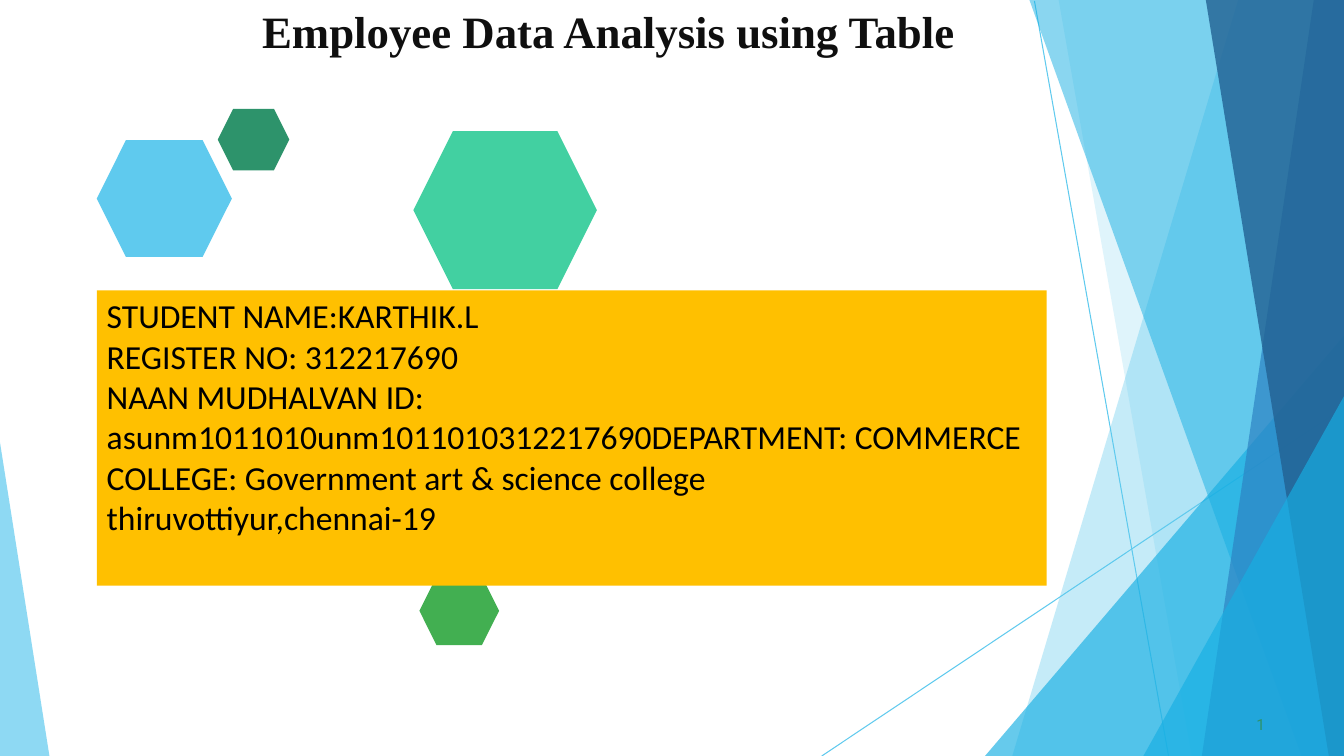
from lxml import etree
from pptx import Presentation
from pptx.dml.color import RGBColor
from pptx.enum import shapes as kinds, text as styles
from pptx.oxml import ns
from pptx.util import Inches, Pt

WIDTH, HEIGHT = 13.33, 7.5
SKY, AZURE, BLUE, NAVY = "5FCAEE", "17AFE3", "2D83C3", "226192"

RAYS = [
    ((10.26, 0.01), (11.59, HEIGHT)),
    ((WIDTH, 4.04), (8.15, HEIGHT)),
]
FACETS = [
    ([(WIDTH, 0), (12.28, 0), (10.04, HEIGHT), (WIDTH, HEIGHT)], SKY, 36),
    ([(WIDTH, 0), (10.5, 0), (11.82, HEIGHT), (WIDTH, HEIGHT)], SKY, 20),
    ([(WIDTH, 3.33), (9.77, HEIGHT), (WIDTH, HEIGHT)], AZURE, 66),
    ([(WIDTH, 0), (10.21, 0), (12.91, HEIGHT), (WIDTH, HEIGHT)], AZURE, 50),
    ([(WIDTH, 0), (13.03, 0), (11.92, HEIGHT), (WIDTH, HEIGHT)], BLUE, 70),
    ([(WIDTH, 0), (11.96, 0), (13.18, HEIGHT), (WIDTH, HEIGHT)], NAVY, 80),
    ([(WIDTH, 3.93), (11.34, HEIGHT), (WIDTH, HEIGHT)], AZURE, 66),
    ([(0, 4.39), (0, HEIGHT), (0.49, HEIGHT)], SKY, 70),
]
HEXAGONS = [
    ((0.96, 1.39, 1.34, 1.16), SKY),
    ((2.16, 1.08, 0.71, 0.61), "2D936B"),
    ((4.1, 1.3, 1.82, 1.57), "42D0A1"),
    ((4.16, 5.72, 0.79, 0.68), "42AF51"),
]
STUDENT_DETAILS = [
    "STUDENT NAME:KARTHIK.L",
    "REGISTER NO: 312217690",
    "NAAN MUDHALVAN ID: asunm1011010unm1011010312217690DEPARTMENT: COMMERCE",
    "COLLEGE: Government art & science college thiruvottiyur,chennai-19",
]


def colour(value):
    return RGBColor.from_string(value)


def inches(values):
    return [Inches(value) for value in values]


def paint(shape, fill, opacity=100):
    shape.shadow.inherit = False
    shape.fill.solid()
    shape.fill.fore_color.rgb = colour(fill)
    shape.line.fill.background()
    if opacity < 100:
        tint = shape.fill._xPr.find(".//" + ns.qn("a:srgbClr"))
        etree.SubElement(tint, ns.qn("a:alpha"), val=str(opacity * 1000))


def add_ray(slide, start, end):
    ray = slide.shapes.add_connector(
        kinds.MSO_CONNECTOR.STRAIGHT, *inches(start + end))
    ray.line.color.rgb = colour(SKY)
    ray.line.width = Pt(0.75)
    etree.SubElement(ray._element.spPr, ns.qn("a:effectLst"))


def add_facet(slide, corners, fill, opacity):
    first, *others = [inches(corner) for corner in corners]
    outline = slide.shapes.build_freeform(*first)
    outline.add_line_segments(others, close=True)
    paint(outline.convert_to_shape(), fill, opacity)


def add_block(slide, kind, box, fill):
    block = slide.shapes.add_shape(kind, *inches(box))
    paint(block, fill)
    return block


def place(shape, box):
    shape.left, shape.top, shape.width, shape.height = inches(box)


def write(shape, lines, font, size, ink, bold=False, before=0, insets=None):
    frame = shape.text_frame
    frame.word_wrap = True
    frame.auto_size = styles.MSO_AUTO_SIZE.NONE
    frame.vertical_anchor = styles.MSO_ANCHOR.TOP
    if insets:
        (frame.margin_left, frame.margin_top,
         frame.margin_right, frame.margin_bottom) = inches(insets)
    frame.text = "\n".join(lines)
    for paragraph in frame.paragraphs:
        paragraph.alignment = styles.PP_ALIGN.LEFT
        paragraph.line_spacing = 1.0
        paragraph.space_before = Pt(before)
        paragraph.font.name = font
        paragraph.font.size = Pt(size)
        paragraph.font.bold = bold
        paragraph.font.color.rgb = colour(ink)


def main():
    deck = Presentation()
    deck.slide_width, deck.slide_height = inches((WIDTH, HEIGHT))
    slide = deck.slides.add_slide(deck.slide_layouts[5])

    for start, end in RAYS:
        add_ray(slide, start, end)
    for corners, fill, opacity in FACETS:
        add_facet(slide, corners, fill, opacity)
    for box, fill in HEXAGONS:
        add_block(slide, kinds.MSO_SHAPE.HEXAGON, box, fill)

    title = slide.shapes.title
    place(title, (2.6, 0.02, 7.41, 1.1))
    write(title, ["Employee Data Analysis using Table"], "Times New Roman", 32,
          "0F0F0F", bold=True, before=1.3, insets=(0, 0.02, 0, 0))

    page_number = slide.shapes.add_textbox(*inches((12.42, 7.08, 0.17, 0.21)))
    write(page_number, ["1"], "Roboto", 11, "2D936B", before=0.6,
          insets=(0.04, 0.01, 0, 0))

    details = add_block(slide, kinds.MSO_SHAPE.RECTANGLE,
                        (0.96, 2.88, 9.42, 2.93), "FFC000")
    write(details, STUDENT_DETAILS, "Calibri", 24, "000000")

    deck.save("out.pptx")


if __name__ == "__main__":
    main()
